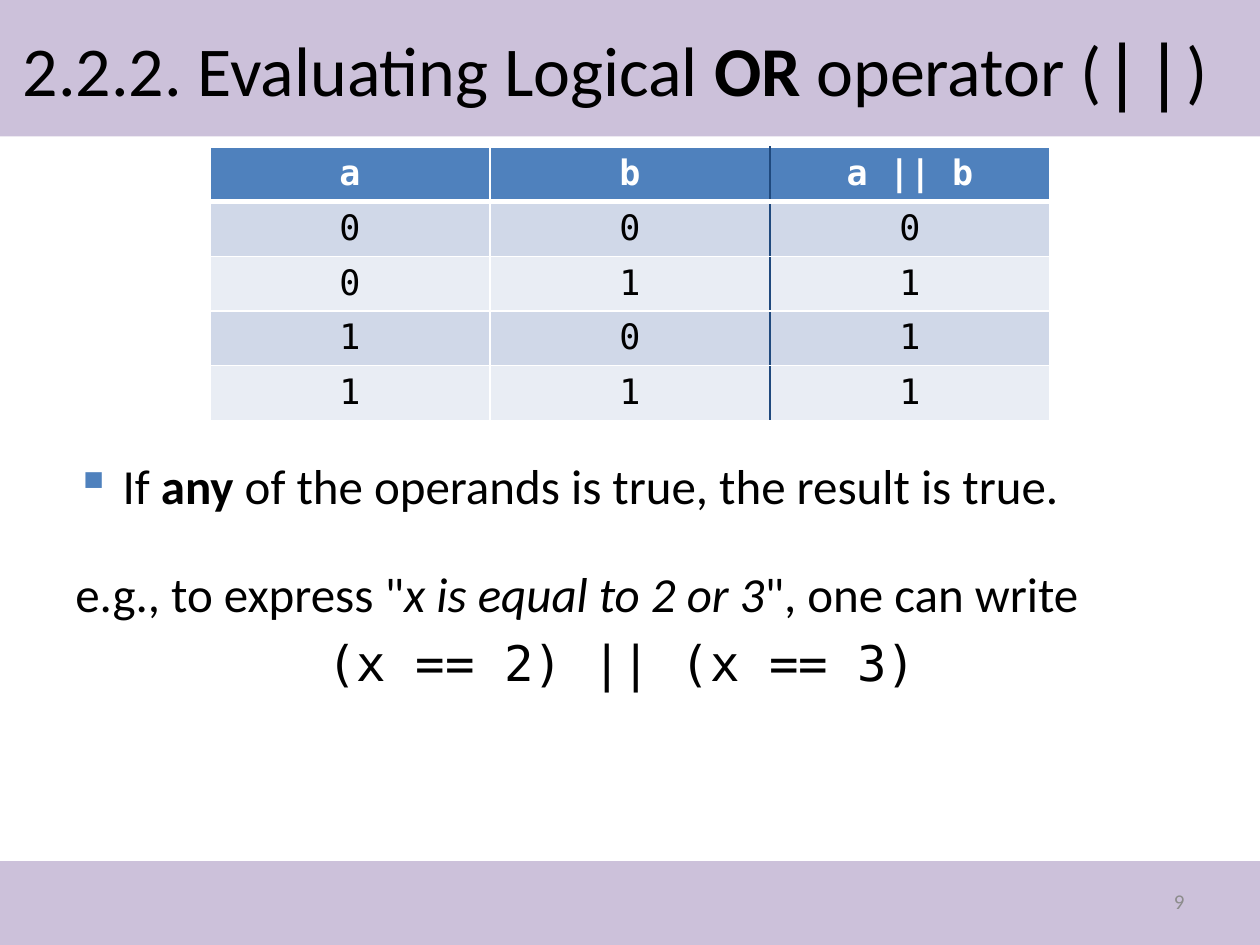
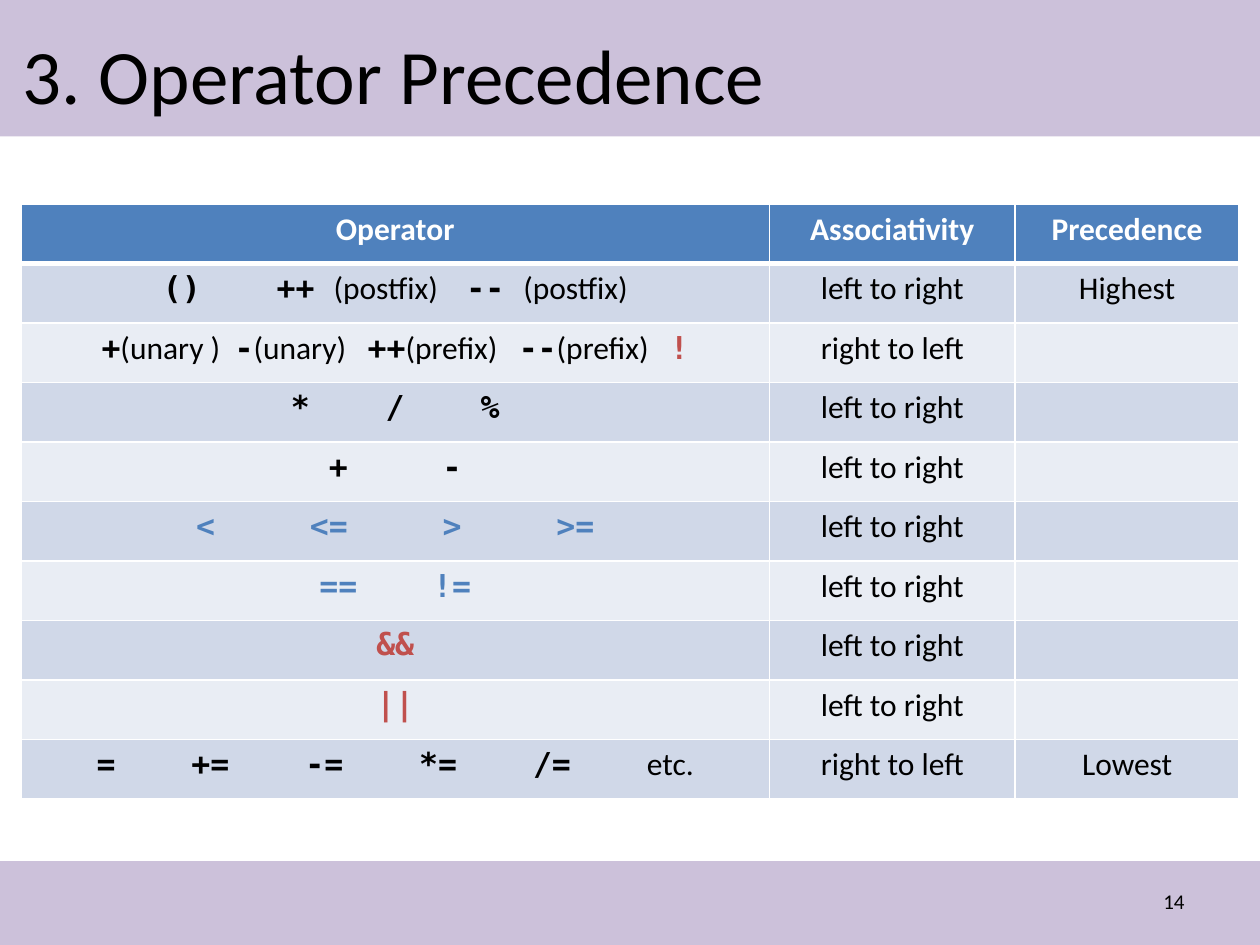
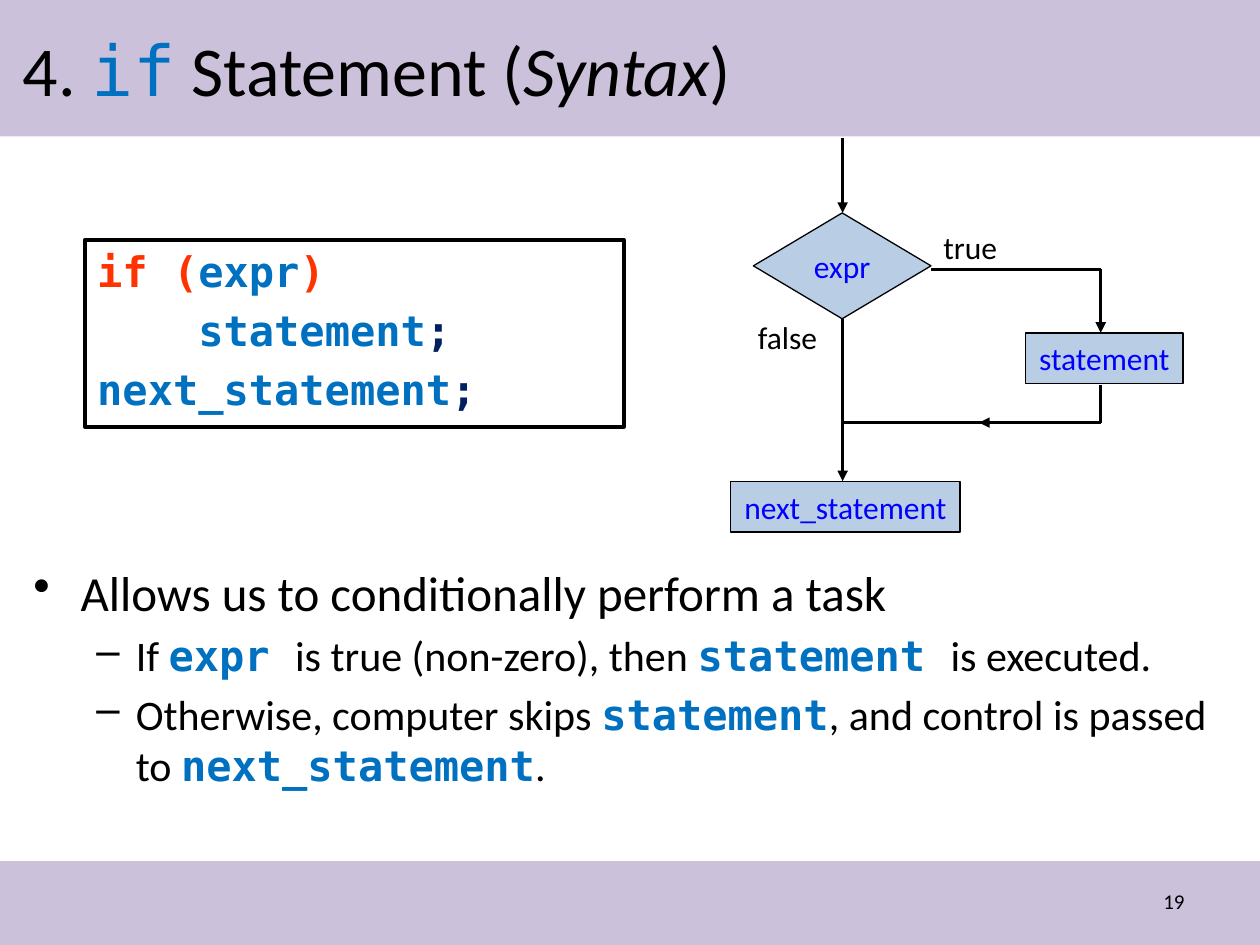
from lxml import etree
from pptx import Presentation
from pptx.dml.color import RGBColor
from pptx.enum.shapes import MSO_CONNECTOR, MSO_SHAPE
from pptx.enum.text import MSO_ANCHOR, PP_ALIGN
from pptx.oxml.ns import qn
from pptx.util import Pt

RECT, DIAMOND = MSO_SHAPE.RECTANGLE, MSO_SHAPE.DIAMOND
LINE = MSO_CONNECTOR.STRAIGHT
MIDDLE = MSO_ANCHOR.MIDDLE
LEFT, CENTER, RIGHT = PP_ALIGN.LEFT, PP_ALIGN.CENTER, PP_ALIGN.RIGHT

LILAC = RGBColor(0xCC, 0xC1, 0xDA)
BLACK = RGBColor(0, 0, 0)
WHITE = RGBColor(0xFF, 0xFF, 0xFF)
GRAY = RGBColor(0x8C, 0x8C, 0x8C)
BLUE = RGBColor(0x4F, 0x81, 0xBD)
NAVY = RGBColor(0x1F, 0x49, 0x7D)
ODD = RGBColor(0xD0, 0xD8, 0xE8)
EVEN = RGBColor(0xE9, 0xED, 0xF4)
RED = RGBColor(0xC0, 0x50, 0x4D)
CODE = RGBColor(0x00, 0x70, 0xC0)
KEY = RGBColor(0xFF, 0x33, 0x00)
INK = RGBColor(0x00, 0x20, 0x60)
PALE = RGBColor(0xB9, 0xCD, 0xE5)
LINK = RGBColor(0, 0, 0xFF)
SANS, MONO = "Calibri", "DejaVu Sans Mono"


def write(par, runs, size, tone=BLACK, face=SANS, bold=False, align=LEFT,
          before=0, left=0, hang=0, mark=None, dye=None):
    """Runs are (text, look, tone), look being any of m, b, i.
    A bare number is one space widened by that many points."""
    par.alignment = align
    par.space_before = Pt(before)
    font = par.font
    font.name, font.size, font.bold = face, Pt(size), bold
    font.color.rgb = tone
    props = par._p.get_or_add_pPr()
    props.set("marL", str(Pt(left)))
    props.set("indent", str(Pt(-hang)))
    base = props.find(qn("a:defRPr"))
    if dye:
        tint = etree.Element(qn("a:buClr"))
        etree.SubElement(tint, qn("a:srgbClr"), val=str(dye))
        base.addprevious(tint)
    if mark:
        base.addprevious(etree.Element(qn("a:buChar"), char=mark))
    for item in [runs] if isinstance(runs, str) else runs:
        run = par.add_run()
        if isinstance(item, (int, float)):
            run.text = " "
            run._r.get_or_add_rPr().set("spc", str(round(item * 100)))
            continue
        text, look, *own = (item, "") if isinstance(item, str) else item
        run.text = text
        if "m" in look:
            run.font.name = MONO
        if "b" in look:
            run.font.bold = True
        if "i" in look:
            run.font.italic = True
        if own:
            run.font.color.rgb = own[0]


def grid(slide, x, y, widths, high, rows, face, before=0, bar=None):
    """A banded table; bar is the column with a dark line on its left."""
    table = slide.shapes.add_table(len(rows), len(widths), Pt(x), Pt(y),
                                   Pt(sum(widths)), Pt(high * len(rows))).table
    for col, wide in zip(table.columns, widths):
        col.width = Pt(wide)
    for i, row in enumerate(rows):
        table.rows[i].height = Pt(high)
        for j, runs in enumerate(row):
            cell = table.cell(i, j)
            props = cell._tc.get_or_add_tcPr()
            dark = {"L": j == bar, "R": bar is not None and j + 1 == bar}
            for side in "LRTB":
                heavy = (side == "B" and i == 0) or (side == "T" and i == 1)
                edge = etree.SubElement(props, qn("a:ln" + side),
                                        w=str(Pt(3 if heavy else 1)))
                paint = etree.SubElement(edge, qn("a:solidFill"))
                shade = NAVY if dark.get(side) else WHITE
                etree.SubElement(paint, qn("a:srgbClr"), val=str(shade))
            cell.fill.solid()
            cell.fill.fore_color.rgb = BLUE if i == 0 else ODD if i % 2 else EVEN
            if runs:
                write(cell.text_frame.paragraphs[0], runs, 20 if face == MONO else 18,
                      BLACK if i else WHITE, face, i == 0, CENTER, before)


deck = Presentation()
deck.slide_width, deck.slide_height = Pt(720), Pt(540)

# Bands, title and page number of every slide
heads = [
    (["2.2.2. Evaluating Logical ", ("OR", "b"), " operator (", ("||", "m"), ")"],
     40, (6, 6, 703, 66), "9", GRAY),
    ("3. Operator Precedence", 44, (6, 12, 708, 60), "14", BLACK),
    (["4.\u00a0", ("if", "m", CODE), " Statement (", ("Syntax", "i"), ")"],
     40, (6, 6, 648, 66), "19", BLACK),
]
slides = []
for title, size, place, page, tone in heads:
    slide = deck.slides.add_slide(deck.slide_layouts[6])
    slides.append(slide)
    for top, high in ((0, 78), (492, 48)):
        band = slide.shapes.add_shape(RECT, 0, Pt(top), Pt(720), Pt(high))
        band.shadow.inherit = False
        band.fill.solid()
        band.fill.fore_color.rgb = LILAC
        band.line.fill.background()
    for runs, pts, spot, hue, align in (
            (title, size, place, BLACK, LEFT),
            (page, 12, (516, 500.4, 168, 28.8), tone, RIGHT)):
        frame = slide.shapes.add_textbox(*map(Pt, spot)).text_frame
        frame.word_wrap = True
        frame.vertical_anchor = MIDDLE
        write(frame.paragraphs[0], runs, pts, hue, align=align)
truth, order, flow = slides

# Slide 1: truth table
bits = [(a, b, a | b) for a in (0, 1) for b in (0, 1)]
rows = [("a", "b", "a || b")] + [[str(bit) for bit in row] for row in bits]
grid(truth, 120, 84, [160] * 3, 29.5, rows, MONO, bar=2)

# Slide 1: rule and example
frame = truth.shapes.add_textbox(Pt(36), Pt(257), Pt(654), Pt(229)).text_frame
frame.word_wrap = True
write(frame.paragraphs[0],
      ["If ", ("any", "b"), " of the operands is true, the result is true."],
      28, before=5.6, left=27, hang=27, mark="\u25aa", dye=BLUE)
write(frame.add_paragraph(),
      ["e.g., to express \"", ("x is equal to 2 or 3", "i"), "\", one can write"],
      28, before=28)
write(frame.add_paragraph(), "(x == 2) || (x == 3)", 28, face=MONO,
      before=5.6, left=144)

# Slide 2: precedence table, with gaps between operators in points
WIDE, BROAD = 39.3, 50.1
ltr, rtl = "left to right", "right to left"
rows = [
    ("Operator", "Associativity", "Precedence"),
    ([("()", "mb"), WIDE, ("++ ", "mb"), "(postfix)", 12.2, ("-- ", "mb"),
      "(postfix)"], ltr, "Highest"),
    ([("+", "mb"), "(unary )", 4.1, ("-", "mb"), "(unary)", 8.1, ("++", "mb"),
      "(prefix)", 8.1, ("--", "mb"), "(prefix)", 8.1, ("!", "mb", RED)], rtl, ""),
]
for signs, gap, tone in (("* / %", WIDE, BLACK), ("+ -", BROAD, BLACK),
                         ("< <= > >=", BROAD, BLUE), ("== !=", WIDE, BLUE),
                         ("&&", WIDE, RED), ("||", WIDE, RED),
                         ("= += -= *= /=", WIDE, BLACK)):
    runs = []
    for sign in signs.split():
        runs += [(sign, "mb", tone), gap]
    rows.append((runs[:-1], ltr, ""))
rows[-1] = (runs + ["etc."], rtl, "Lowest")
grid(order, 12, 116.6, [427.7, 140.4, 128], 34, rows, SANS, before=3.6)

# Slide 3: syntax box
box = flow.shapes.add_shape(RECT, Pt(48.5), Pt(137), Pt(308), Pt(107))
box.shadow.inherit = False
box.fill.background()
box.line.color.rgb = BLACK
box.line.width = Pt(2)
frame = box.text_frame
frame.vertical_anchor = MSO_ANCHOR.TOP
lines = [
    ([("if (", ""), ("expr", "", CODE), (")", "")], 0),
    ([("statement", "", CODE), (";", "", INK)], 57.8),
    ([("next_statement", "", CODE), (";", "", INK)], 0),
]
for i, (runs, left) in enumerate(lines):
    par = frame.add_paragraph() if i else frame.paragraphs[0]
    write(par, runs, 24, KEY, MONO, True, before=4.8, left=left)

# Slide 3: flowchart nodes
nodes = [
    (DIAMOND, "expr", 430.5, 121.7, 101.5, 60.5),
    (RECT, "next_statement", 417.6, 275, 131, 29),
    (RECT, "statement", 586, 190.2, 90, 29),
]
for kind, text, *spot in nodes:
    node = flow.shapes.add_shape(kind, *map(Pt, spot))
    node.shadow.inherit = False
    node.fill.solid()
    node.fill.fore_color.rgb = PALE
    node.line.color.rgb = BLACK
    node.line.width = Pt(0.75)
    node.text_frame.word_wrap = False
    node.text_frame.vertical_anchor = MIDDLE
    write(node.text_frame.paragraphs[0], text, 18, LINK, align=CENTER)

# Slide 3: flowchart lines, on two uprights
MAIN, SIDE = 481.5, 629
paths = [
    (MAIN, 79, MAIN, 121.7, True),
    (MAIN, 182.2, MAIN, 275, True),
    (532, 154, SIDE, 154, False),
    (SIDE, 154, SIDE, 190.2, True),
    (SIDE, 220, SIDE, 241.5, False),
    (SIDE, 241.5, MAIN, 241.5, False),
    (SIDE, 241.5, 559.5, 241.5, True),
]
for *ends, arrow in paths:
    link = flow.shapes.add_connector(LINE, *map(Pt, ends))
    link.line.color.rgb = BLACK
    link.line.width = Pt(2)
    if arrow:
        etree.SubElement(link.line._get_or_add_ln(), qn("a:tailEnd"), type="triangle")
    etree.SubElement(link._element.spPr, qn("a:effectLst"))

# Slide 3: branch labels
for text, x, y, wide in (("true", 532, 126.7, 45.5), ("false", 426, 178, 49)):
    frame = flow.shapes.add_textbox(Pt(x), Pt(y), Pt(wide), Pt(29)).text_frame
    frame.word_wrap = False
    write(frame.paragraphs[0], text, 18)

# Slide 3: explanation
frame = flow.shapes.add_textbox(Pt(12), Pt(318), Pt(696), Pt(172)).text_frame
frame.word_wrap = True
write(frame.paragraphs[0], "Allows us to conditionally perform a task", 28,
      before=5.6, left=27, hang=27, mark="\u2022")
points = [
    ["If ", ("expr ", "mb", CODE), "is true (non-zero), then ",
     ("statement ", "mb", CODE), "is executed."],
    ["Otherwise, computer skips ", ("statement", "mb", CODE),
     ", and control is passed to ", ("next_statement", "mb", CODE), "."],
]
for runs in points:
    par = frame.add_paragraph()
    par.level = 1
    write(par, runs, 24, before=4.8, left=58.5, hang=22.5, mark="\u2013")

deck.save("out.pptx")
